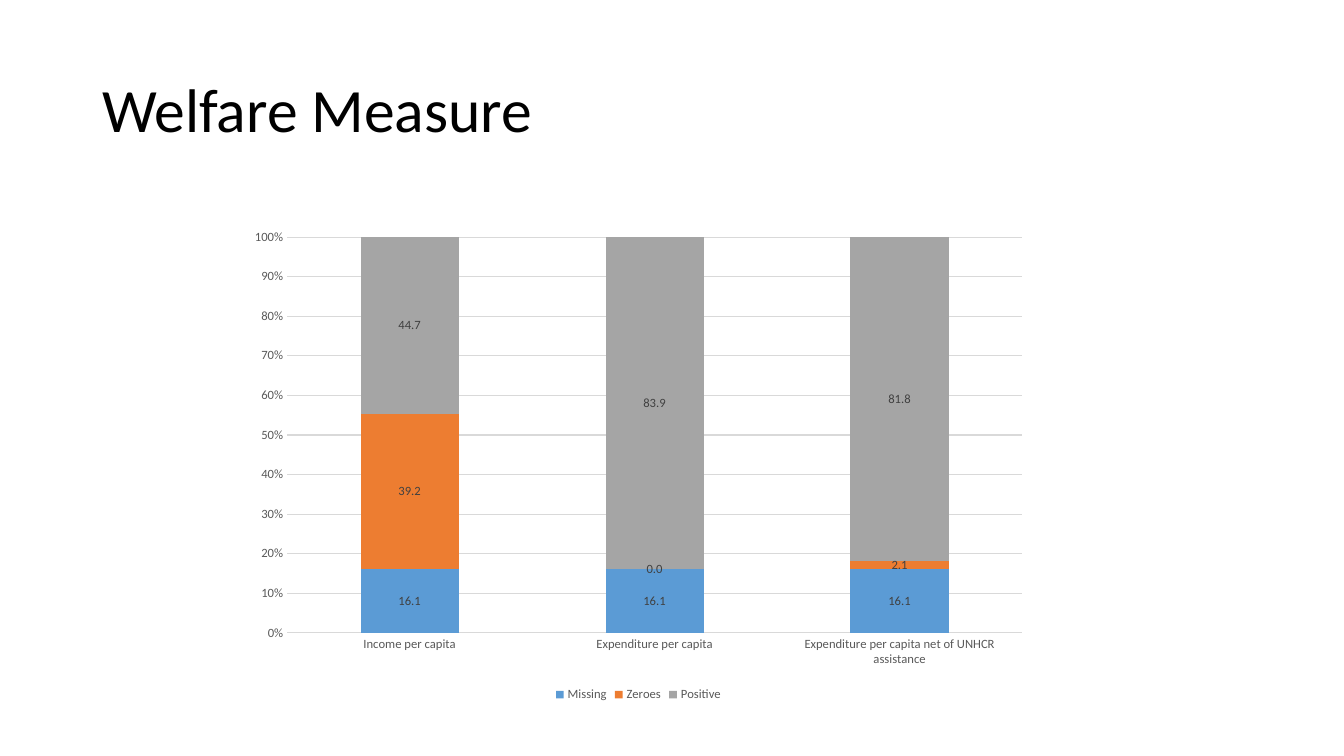
from pptx import Presentation
from pptx.chart.data import CategoryChartData
from pptx.dml.color import RGBColor
from pptx.enum import chart as charts, text
from pptx.util import Emu, Pt

SCALE = 914400 / 100.8
FONT = "Calibri"
CATEGORIES = [
    "Income per capita",
    "Expenditure per capita",
    "Expenditure per capita net of UNHCR assistance",
]
SERIES = [
    ("Missing", (16.1, 16.1, 16.1), "5B9BD5"),
    ("Zeroes", (39.2, 0, 2.1), "ED7D31"),
    ("Positive", (44.7, 83.9, 81.8), "A5A5A5"),
]


def px(length):
    return Emu(round(length * SCALE))


def color(value):
    return RGBColor.from_string(value)


def style_font(font, size, value):
    font.name = FONT
    font.size = Pt(size)
    font.color.rgb = color(value)


def style_line(line, value):
    line.color.rgb = color(value)
    line.width = Pt(0.75)


def add_title(slide, box):
    title = slide.shapes.title
    title.left, title.top, title.width, title.height = map(px, box)
    frame = title.text_frame
    frame.text = "Welfare Measure"
    frame.auto_size = text.MSO_AUTO_SIZE.NONE
    frame.vertical_anchor = text.MSO_ANCHOR.MIDDLE
    paragraph = frame.paragraphs[0]
    paragraph.alignment = text.PP_ALIGN.LEFT
    paragraph.line_spacing = 0.9
    style_font(paragraph.font, 44, "000000")


def style_axes(chart):
    for axis in (chart.category_axis, chart.value_axis):
        axis.major_tick_mark = charts.XL_TICK_MARK.NONE
        axis.minor_tick_mark = charts.XL_TICK_MARK.NONE
        style_font(axis.tick_labels.font, 9, "595959")
    style_line(chart.category_axis.format.line, "D9D9D9")
    value_axis = chart.value_axis
    value_axis.format.line.fill.background()
    value_axis.has_major_gridlines = True
    style_line(value_axis.major_gridlines.format.line, "D9D9D9")
    value_axis.tick_labels.number_format = "0%"
    value_axis.tick_labels.number_format_is_linked = False


def style_series(series, fill):
    series.format.fill.solid()
    series.format.fill.fore_color.rgb = color(fill)
    series.invert_if_negative = False
    labels = series.data_labels
    labels.show_value = True
    labels.position = charts.XL_LABEL_POSITION.CENTER
    labels.number_format = "0.0"
    labels.number_format_is_linked = False
    style_font(labels.font, 9, "404040")


def add_welfare_chart(slide, box):
    data = CategoryChartData(number_format="0.0")
    data.categories = CATEGORIES
    for name, values, _ in SERIES:
        data.add_series(name, values)
    chart = slide.shapes.add_chart(
        charts.XL_CHART_TYPE.COLUMN_STACKED_100, *map(px, box), data
    ).chart
    style_font(chart.font, 10, "000000")
    chart.has_title = False
    chart.has_legend = True
    chart.legend.position = charts.XL_LEGEND_POSITION.BOTTOM
    chart.legend.include_in_layout = False
    style_font(chart.legend.font, 9, "595959")
    style_axes(chart)
    plot = chart.plots[0]
    plot.gap_width = 150
    plot.overlap = 100
    plot.vary_by_categories = False
    for series, (_, _, fill) in zip(plot.series, SERIES):
        style_series(series, fill)


presentation = Presentation()
presentation.slide_width = px(1344)
presentation.slide_height = px(756)
slide = presentation.slides.add_slide(presentation.slide_layouts[5])
add_title(slide, (92, 40, 1159, 146))
add_welfare_chart(slide, (239, 220, 799, 486))
presentation.save("out.pptx")
